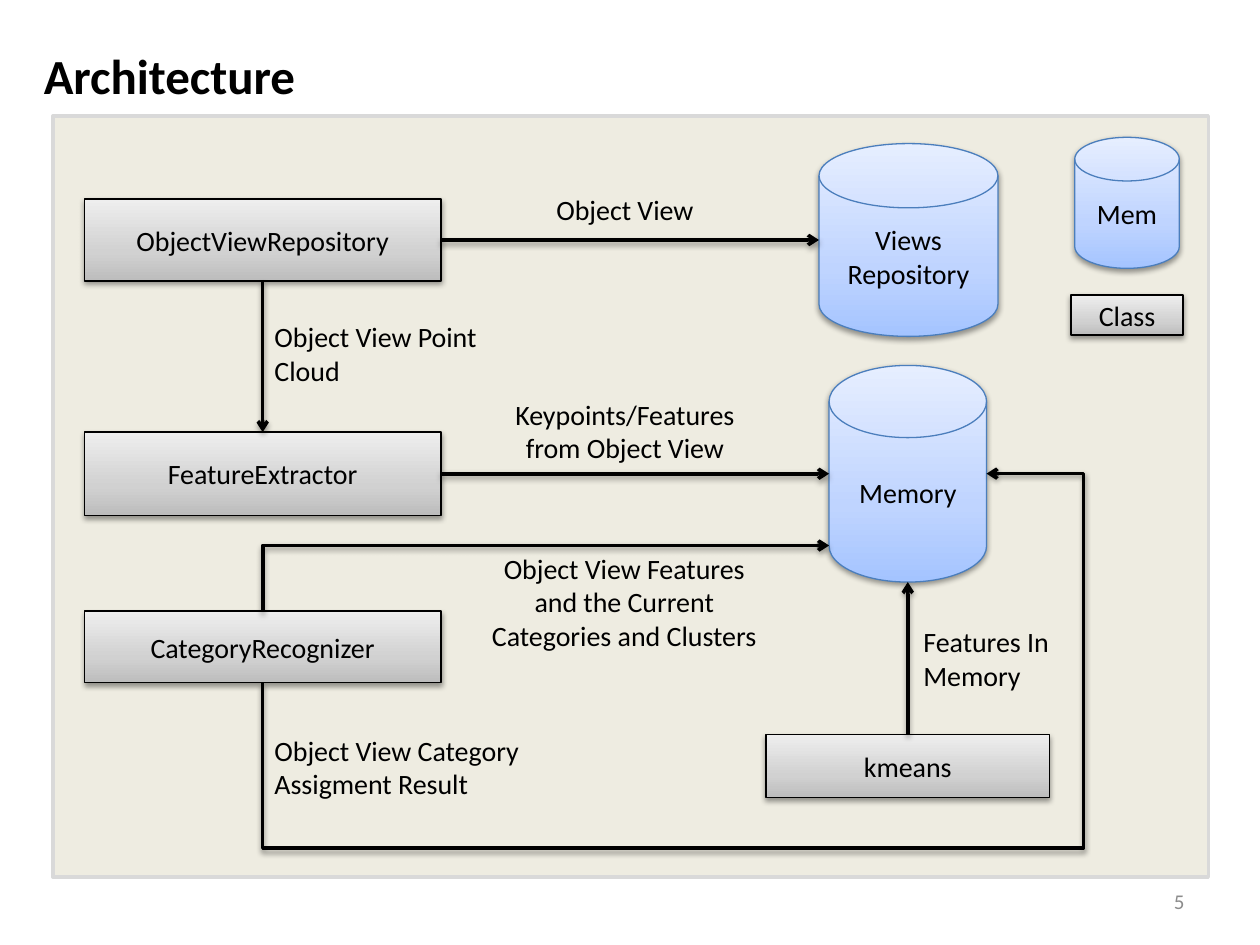
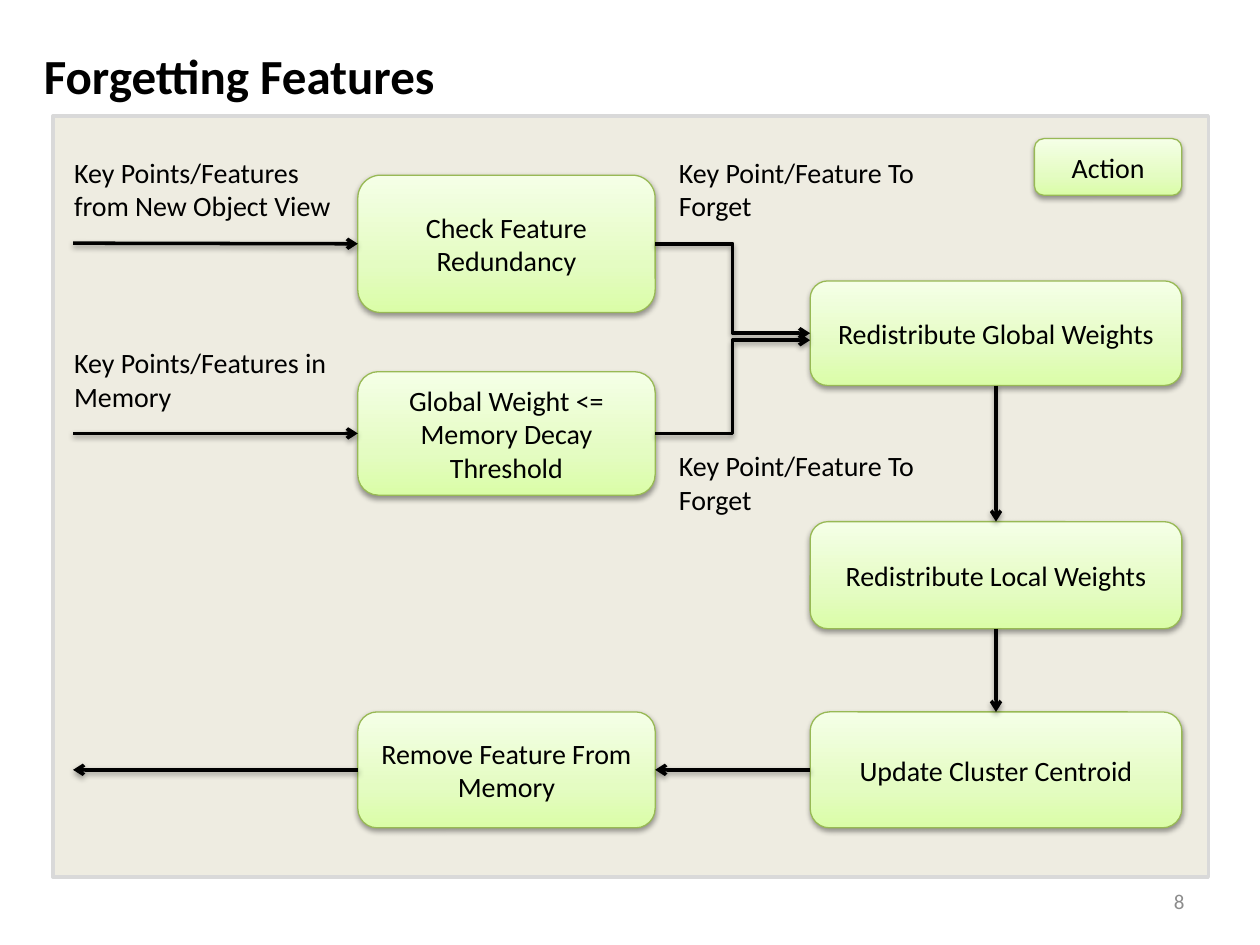
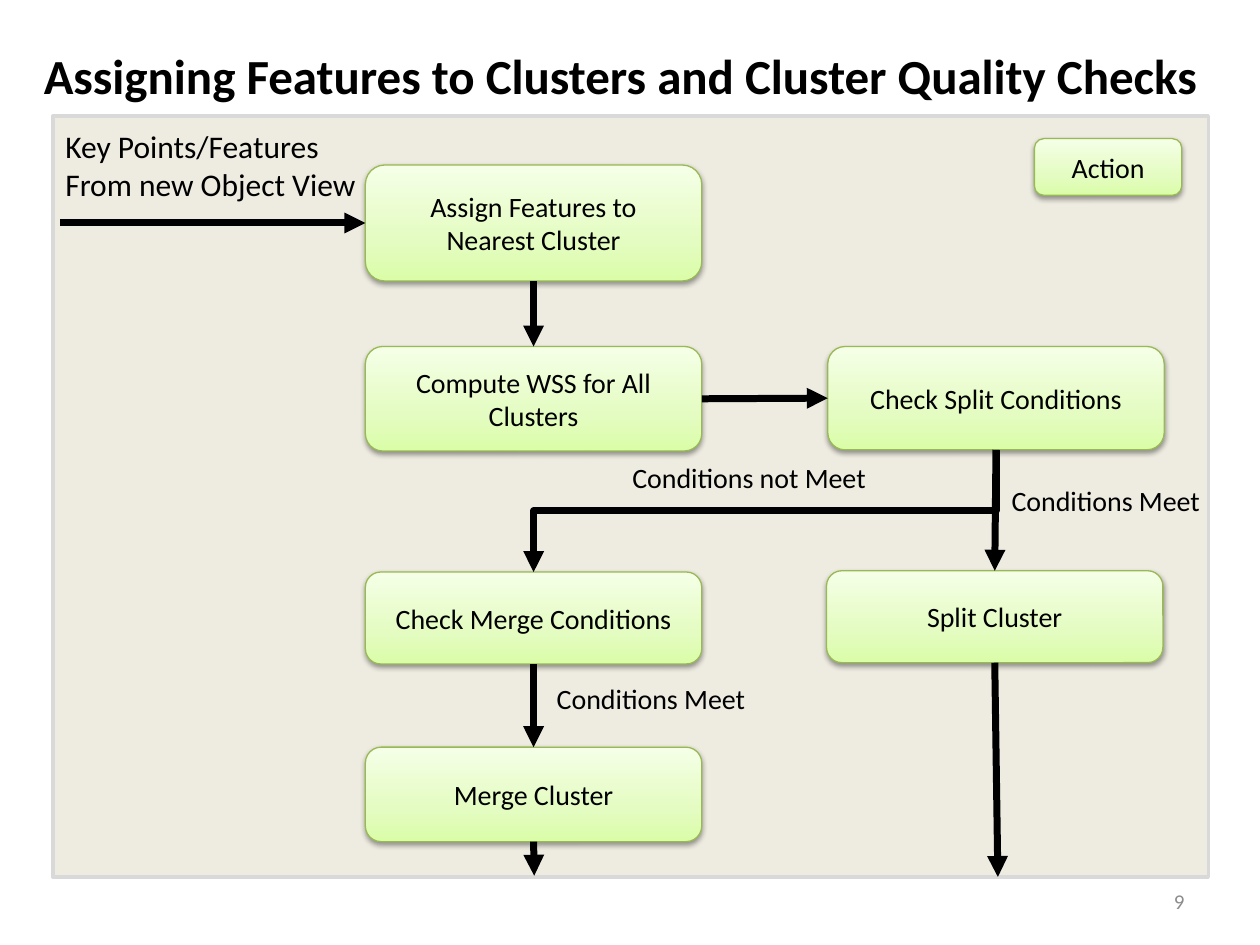
from lxml import etree
from pptx import Presentation
from pptx.dml.color import RGBColor
from pptx.enum.shapes import MSO_CONNECTOR, MSO_SHAPE
from pptx.enum.text import MSO_ANCHOR, MSO_AUTO_SIZE, PP_ALIGN
from pptx.oxml.ns import qn
from pptx.util import Inches, Pt

RECT = MSO_SHAPE.RECTANGLE
DISK = MSO_SHAPE.FLOWCHART_MAGNETIC_DISK
PROCESS = MSO_SHAPE.FLOWCHART_ALTERNATE_PROCESS
ROUNDED = MSO_SHAPE.ROUNDED_RECTANGLE
STRAIGHT, ELBOW = MSO_CONNECTOR.STRAIGHT, MSO_CONNECTOR.ELBOW
LEFT, CENTER, RIGHT = PP_ALIGN.LEFT, PP_ALIGN.CENTER, PP_ALIGN.RIGHT
TOP, MIDDLE = MSO_ANCHOR.TOP, MSO_ANCHOR.MIDDLE
NO_AUTOFIT = MSO_AUTO_SIZE.NONE

FONT = "Calibri"
BLACK = RGBColor(0x00, 0x00, 0x00)
PAGE_GREY = RGBColor(0x8C, 0x8C, 0x8C)
PANEL_FILL = RGBColor(0xEE, 0xEC, 0xE1)
PANEL_EDGE = RGBColor(0xD9, 0xD9, 0xD9)
BLUE_EDGE = RGBColor(0x4B, 0x7E, 0xBC)
GREEN_EDGE = RGBColor(0x98, 0xB9, 0x55)
GREYS = [RGBColor(0xBD, 0xBD, 0xBD), RGBColor(0xD1, 0xD1, 0xD1), RGBColor(0xEE, 0xEE, 0xEE)]
BLUES = [RGBColor(0xA4, 0xC4, 0xFF), RGBColor(0xBF, 0xD4, 0xFF), RGBColor(0xE6, 0xEE, 0xFF)]
GREENS = [RGBColor(0xDA, 0xFD, 0xA7), RGBColor(0xE4, 0xFC, 0xC2), RGBColor(0xF5, 0xFF, 0xE7)]
STOPS = [0, 35000, 100000]

PANEL = (0.42, 0.92, 9.17, 6.04)
TITLE = (0.25, 0.31, 9.5, 0.57)
PAGE_NUMBER = (7.17, 6.95, 2.33, 0.4)

KINDS = {
    "class": (RECT, GREYS, BLACK),
    "memory": (DISK, BLUES, BLUE_EDGE),
    "action": (PROCESS, GREENS, GREEN_EDGE),
    "step": (ROUNDED, GREENS, GREEN_EDGE),
}
THIN = {"weight": 2, "head": "arrow", "shadow": True}
THICK = {"weight": 4, "head": "triangle", "shadow": False}
FITTED = {"wrap": False, "anchor": TOP}
ACTION_KEY = ("action", "Action", (8.21, 1.1, 1.17, 0.45))

SLIDES = [
    {
        "title": "Architecture",
        "page": "5",
        "arrow": THIN,
        "boxes": {
            "views": ("class", "ObjectViewRepository", (0.67, 1.58, 2.83, 0.65)),
            "extractor": ("class", "FeatureExtractor", (0.67, 3.43, 2.83, 0.66)),
            "recognizer": ("class", "CategoryRecognizer", (0.67, 4.85, 2.83, 0.57)),
            "kmeans": ("class", "kmeans", (6.08, 5.83, 2.25, 0.5)),
            "repository": ("memory", "Views Repository", (6.5, 1.14, 1.42, 1.53)),
            "memory": ("memory", "Memory", (6.58, 2.9, 1.25, 1.72)),
            "class key": ("class", "Class", (8.5, 2.34, 0.89, 0.32)),
            "memory key": ("memory", "Mem", (8.53, 1.09, 0.83, 1.04)),
        },
        "straight": [
            (("views", "bottom"), ("extractor", "top")),
            (("extractor", "right"), ("memory", "left")),
            (("views", "right"), ("repository", "left")),
            (("kmeans", "top"), ("memory", "bottom")),
        ],
        "bent": [
            (("recognizer", "top"), (6.58, 4.33), "bentConnector2", True, []),
            (("recognizer", "bottom"), ("memory", "right"), "bentConnector4", True, [-79100, 113400]),
        ],
        "labels": [
            ("Object View Point Cloud", (2.08, 2.42, 1.99, 0.77), {}),
            ("Keypoints/Features from Object View", (3.82, 3.09, 2.28, 0.66), {"align": CENTER}),
            ("Object View Features and the Current Categories and Clusters",
             (3.74, 4.33, 2.43, 0.89), {"align": CENTER}),
            ("Object View", (4.22, 1.45, 1.48, 0.42), {"align": CENTER}),
            ("Object View Category Assigment Result", (2.08, 5.75, 2.17, 0.67), {}),
            ("Features In\nMemory", (7.23, 4.89, 1.39, 0.67), {}),
        ],
    },
    {
        "title": "Forgetting Features",
        "page": "8",
        "arrow": THIN,
        "boxes": {
            "key": ACTION_KEY,
            "redundancy": ("action", "Check Feature Redundancy", (2.84, 1.39, 2.36, 1.09)),
            "decay": ("action", "Global Weight <= Memory Decay Threshold", (2.84, 2.95, 2.36, 0.98)),
            "remove": ("action", "Remove Feature From Memory", (2.84, 5.65, 2.36, 0.92)),
            "global": ("action", "Redistribute Global Weights", (6.43, 2.23, 2.95, 0.83)),
            "local": ("action", "Redistribute Local Weights", (6.43, 4.14, 2.95, 0.85)),
            "centroid": ("action", "Update Cluster Centroid", (6.43, 5.65, 2.95, 0.92)),
        },
        "straight": [
            ((0.58, 1.93), ("redundancy", "left")),
            ((0.58, 3.44), ("decay", "left")),
            (("global", "bottom"), ("local", "top")),
            (("local", "bottom"), ("centroid", "top")),
            (("centroid", "left"), ("remove", "right")),
            (("remove", "left"), (0.58, 6.11)),
        ],
        "bent": [
            (("redundancy", "right"), ("global", "left"), "bentConnector3", False, []),
            (("decay", "right"), (6.43, 2.7), "bentConnector3", False, []),
        ],
        "labels": [
            ("Key Points/Features from New Object View", (0.49, 1.17, 2.28, 0.66), {}),
            ("Key Points/Features in Memory", (0.49, 2.68, 2.28, 0.66), {}),
            ("Key Point/Feature To Forget", (5.29, 1.17, 2.28, 0.66), {}),
            ("Key Point/Feature To Forget", (5.29, 3.5, 2.28, 0.66), {}),
        ],
    },
    {
        "title": "Assigning Features to Clusters and Cluster Quality Checks",
        "page": "9",
        "arrow": THICK,
        "boxes": {
            "key": ACTION_KEY,
            "assign": ("step", "Assign Features to Nearest Cluster", (2.9, 1.31, 2.67, 0.92)),
            "compute": ("step", "Compute WSS for All Clusters", (2.9, 2.75, 2.67, 0.83)),
            "check merge": ("step", "Check Merge Conditions", (2.9, 4.54, 2.67, 0.73)),
            "merge": ("step", "Merge Cluster", (2.9, 5.93, 2.67, 0.75)),
            "check split": ("step", "Check Split Conditions", (6.57, 2.75, 2.67, 0.82)),
            "split": ("step", "Split Cluster", (6.56, 4.53, 2.67, 0.73)),
        },
        "straight": [
            ((0.48, 1.77), ("assign", "left")),
            (("assign", "bottom"), ("compute", "top")),
            (("compute", "right"), ("check split", "left")),
            (("check split", "bottom"), ("split", "top")),
            (("check merge", "bottom"), ("merge", "top")),
            (("split", "bottom"), (7.92, 6.96)),
            (("merge", "bottom"), (4.24, 6.95)),
        ],
        "bent": [
            (("check split", "bottom"), ("check merge", "top"), "bentConnector3", True, [50000]),
        ],
        "labels": [
            ("Key Points/Features\nFrom new Object View", (0.42, 0.96, 2.58, 0.71), {"size": 18, **FITTED}),
            ("Conditions Meet", (7.93, 3.79, 1.72, 0.37), FITTED),
            ("Conditions Meet", (4.32, 5.36, 1.72, 0.37), FITTED),
            ("Conditions not Meet", (4.92, 3.61, 2.08, 0.37), FITTED),
        ],
    },
]


def inches(values):
    return [Inches(value) for value in values]


def write(frame, text, size=16, color=BLACK, bold=False, align=LEFT, anchor=MIDDLE, wrap=True):
    frame.text = text
    frame.word_wrap = wrap
    frame.auto_size = NO_AUTOFIT
    frame.vertical_anchor = anchor
    for paragraph in frame.paragraphs:
        paragraph.alignment = align
        paragraph.font.name = FONT
        paragraph.font.size = Pt(size)
        paragraph.font.bold = bold
        paragraph.font.color.rgb = color


def add_label(slide, text, at, **style):
    write(slide.shapes.add_textbox(*inches(at)).text_frame, text, **style)


def add_shadow(effects):
    shadow = etree.SubElement(effects, qn("a:outerShdw"), blurRad="40000", dist="20000",
                              dir="5400000", rotWithShape="0")
    color = etree.SubElement(shadow, qn("a:srgbClr"), val=str(BLACK))
    etree.SubElement(color, qn("a:alpha"), val="38000")


def add_outlined(slide, preset, at, edge, weight):
    shape = slide.shapes.add_shape(preset, *inches(at))
    shape.shadow.inherit = False
    shape.line.color.rgb = edge
    shape.line.width = Pt(weight)
    return shape


def add_box(slide, kind, text, at):
    preset, colors, edge = KINDS[kind]
    box = add_outlined(slide, preset, at, edge, 0.75)
    box.fill.gradient()
    box.fill.gradient_angle = 90
    properties = box.element.spPr
    stops = properties.find(".//" + qn("a:gsLst"))
    stops.clear()
    for position, color in zip(STOPS, colors):
        stop = etree.SubElement(stops, qn("a:gs"), pos=str(position))
        etree.SubElement(stop, qn("a:srgbClr"), val=str(color))
    add_shadow(properties.find(qn("a:effectLst")))
    write(box.text_frame, text, align=CENTER)


def locate(place, boxes):
    if place[0] not in boxes:
        return place
    name, side = place
    left, top, width, height = boxes[name][2]
    return {
        "left": (left, top + height / 2),
        "right": (left + width, top + height / 2),
        "top": (left + width / 2, top),
        "bottom": (left + width / 2, top + height),
    }[side]


def add_arrow(slide, route, start, end, weight, head, shadow):
    arrow = slide.shapes.add_connector(route, *inches(start + end))
    arrow.line.color.rgb = BLACK
    arrow.line.width = Pt(weight)
    properties = arrow.element.spPr
    etree.SubElement(properties.find(qn("a:ln")), qn("a:tailEnd"), type=head)
    effects = etree.SubElement(properties, qn("a:effectLst"))
    if shadow:
        add_shadow(effects)
    return arrow


def bend(arrow, start, end, preset, upright, adjustments):
    across, down = end[0] - start[0], end[1] - start[1]
    center_x, center_y = (start[0] + end[0]) / 2, (start[1] + end[1]) / 2
    run, rise = (down, -across) if upright else (across, down)
    width, height = abs(run), abs(rise)
    arrow.left, arrow.top, arrow.width, arrow.height = inches(
        (center_x - width / 2, center_y - height / 2, width, height))
    frame = arrow.element.spPr.find(qn("a:xfrm"))
    frame.set("rot", "5400000" if upright else "0")
    frame.set("flipH", str(int(run < 0)))
    frame.set("flipV", str(int(rise < 0)))
    geometry = arrow.element.spPr.find(qn("a:prstGeom"))
    geometry.set("prst", preset)
    guides = geometry.find(qn("a:avLst"))
    for number, value in enumerate(adjustments, 1):
        etree.SubElement(guides, qn("a:gd"), name=f"adj{number}", fmla=f"val {value}")


def build_slide(deck, content):
    slide = deck.slides.add_slide(deck.slide_layouts[6])
    panel = add_outlined(slide, RECT, PANEL, PANEL_EDGE, 2)
    panel.fill.solid()
    panel.fill.fore_color.rgb = PANEL_FILL
    add_label(slide, content["title"], TITLE, size=28, bold=True, anchor=TOP)
    add_label(slide, content["page"], PAGE_NUMBER, size=12, color=PAGE_GREY, align=RIGHT)
    boxes = content["boxes"]
    for box in boxes.values():
        add_box(slide, *box)
    for source, target in content["straight"]:
        add_arrow(slide, STRAIGHT, locate(source, boxes), locate(target, boxes), **content["arrow"])
    for source, target, preset, upright, adjustments in content["bent"]:
        start, end = locate(source, boxes), locate(target, boxes)
        arrow = add_arrow(slide, ELBOW, start, end, **content["arrow"])
        bend(arrow, start, end, preset, upright, adjustments)
    for text, at, style in content["labels"]:
        add_label(slide, text, at, **style)


deck = Presentation()
deck.slide_width, deck.slide_height = Inches(10), Inches(7.5)
for content in SLIDES:
    build_slide(deck, content)
deck.save("out.pptx")
